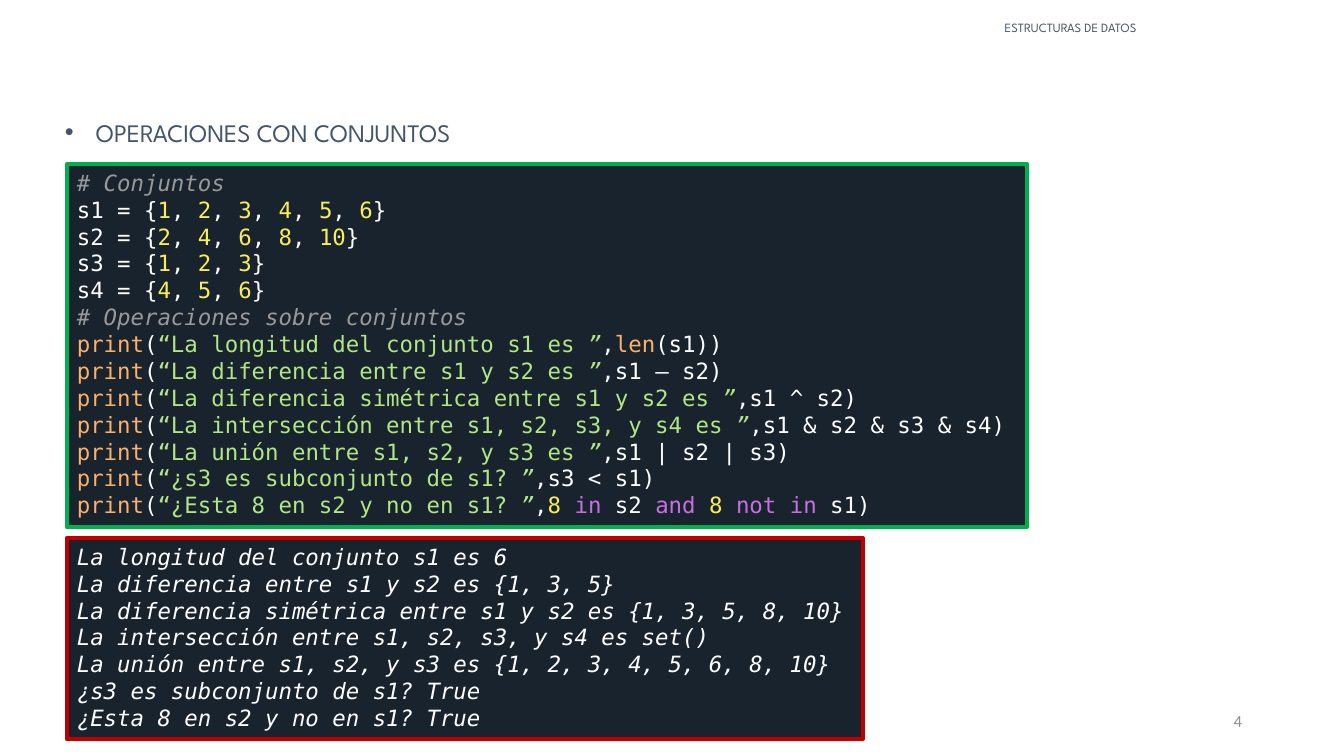
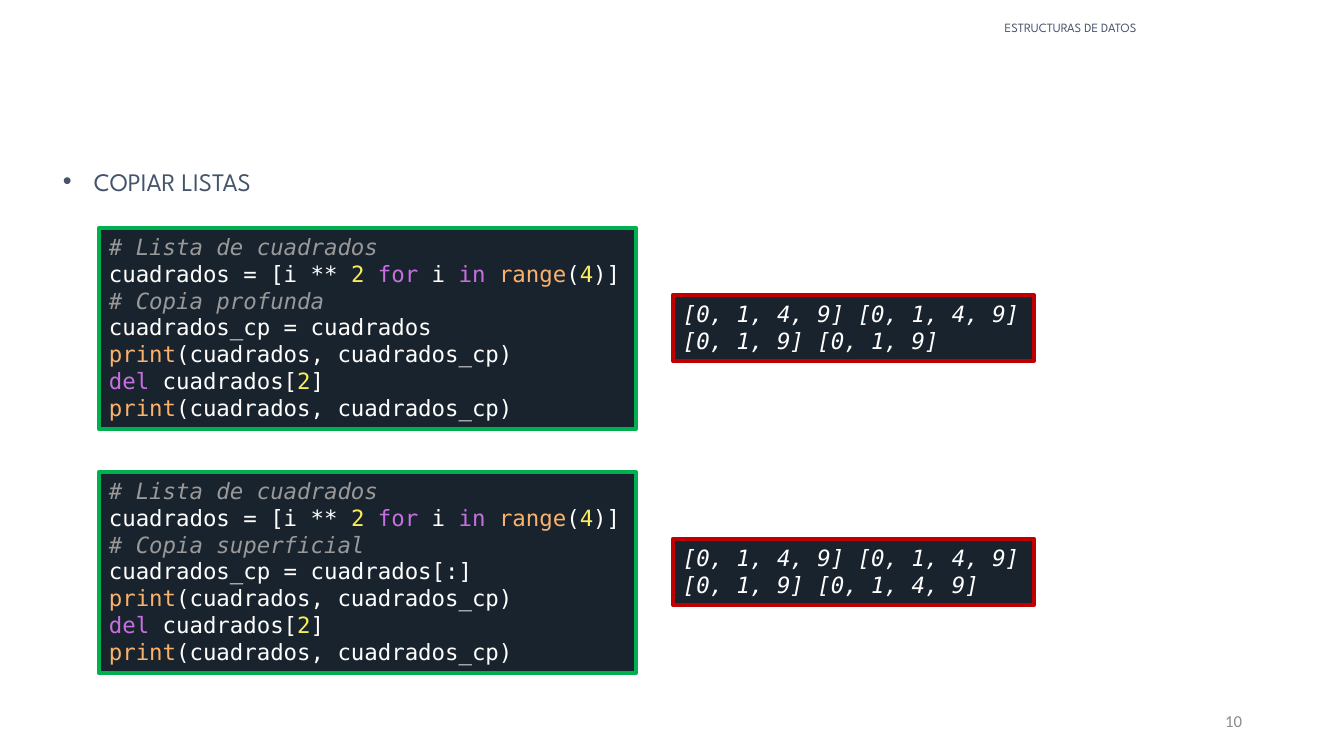
from itertools import groupby

from lxml import etree
from pptx import Presentation
from pptx.dml.color import RGBColor
from pptx.enum import shapes, text
from pptx.oxml.ns import qn
from pptx import util as u

PX = u.Inches(1) / 100.8
COLORS = {
    "heading": "44546A", "number": "8C8C8C", "panel": "19232D",
    "source": "00B050", "output": "C00000", "plain": "FFFFFF",
    "comment": "999999", "digit": "FAED5C", "builtin": "FAB16C",
    "keyword": "C670E0", "string": "B0E686",
}
WORDS = {"print": "builtin", "len": "builtin", "range": "builtin"}
WORDS.update(dict.fromkeys(["for", "in", "and", "not", "del"], "keyword"))
HEADING_FONT, CODE_FONT = "League Spartan", "DejaVu Sans Mono"
LINE_HEIGHT, PANEL_PADDING = 27, 12

SET_CODE = """# Conjuntos
s1 = {1, 2, 3, 4, 5, 6}
s2 = {2, 4, 6, 8, 10}
s3 = {1, 2, 3}
s4 = {4, 5, 6}
# Operaciones sobre conjuntos
print(“La longitud del conjunto s1 es ”,len(s1))
print(“La diferencia entre s1 y s2 es ”,s1 – s2)
print(“La diferencia simétrica entre s1 y s2 es ”,s1 ^ s2)
print(“La intersección entre s1, s2, s3, y s4 es ”,s1 & s2 & s3 & s4)
print(“La unión entre s1, s2, y s3 es ”,s1 | s2 | s3)
print(“¿s3 es subconjunto de s1? ”,s3 < s1)
print(“¿Esta 8 en s2 y no en s1? ”,8 in s2 and 8 not in s1)"""

SET_OUTPUT = """La longitud del conjunto s1 es 6
La diferencia entre s1 y s2 es {1, 3, 5}
La diferencia simétrica entre s1 y s2 es {1, 3, 5, 8, 10}
La intersección entre s1, s2, s3, y s4 es set()
La unión entre s1, s2, y s3 es {1, 2, 3, 4, 5, 6, 8, 10}
¿s3 es subconjunto de s1? True
¿Esta 8 en s2 y no en s1? True"""

COPY_CODE = """# Lista de cuadrados
cuadrados = [i ** 2 for i in range(4)]
# Copia {kind}
cuadrados_cp = {value}
print(cuadrados, cuadrados_cp)
del cuadrados[2]
print(cuadrados, cuadrados_cp)"""
DEEP_CODE = COPY_CODE.format(kind="profunda", value="cuadrados")
SHALLOW_CODE = COPY_CODE.format(kind="superficial", value="cuadrados[:]")
DEEP_OUTPUT = "[0, 1, 4, 9] [0, 1, 4, 9]\n[0, 1, 9] [0, 1, 9]"
SHALLOW_OUTPUT = "[0, 1, 4, 9] [0, 1, 4, 9]\n[0, 1, 9] [0, 1, 4, 9]"

PAGES = [
    ("OPERACIONES CON CONJUNTOS", (55, 112, 484, 40), "4", [
        ("source", 67, 164, 960, SET_CODE),
        ("output", 67, 538, 796, SET_OUTPUT),
    ]),
    ("COPIAR LISTAS", (53, 161, 249, 40), "10", [
        ("source", 99, 228, 537, DEEP_CODE),
        ("source", 99, 472, 537, SHALLOW_CODE),
        ("output", 673, 295, 361, DEEP_OUTPUT),
        ("output", 673, 539, 361, SHALLOW_OUTPUT),
    ]),
]


def highlight(line, role):
    if role == "output":
        return [(line, "plain", True)]
    if line.startswith("#"):
        return [(line, "comment", True)]
    before, opening, rest = line.partition("“")
    quoted, closing, after = rest.partition("”")
    pieces = []
    for code in (before, after):
        for _, letters in groupby(code, lambda c: c.isalnum() or c == "_"):
            word = "".join(letters)
            color = "digit" if word.isdigit() else WORDS.get(word, "plain")
            pieces.append((word, color, False))
        if opening and code is before:
            pieces.append((opening + quoted, "string", False))
            pieces.append((closing, "string", True))
    return pieces


def style(run, font, size, color, italic=False):
    run.font.name = font
    run.font.size = u.Pt(size)
    run.font.italic = italic
    run.font.color.rgb = RGBColor.from_string(COLORS[color])


deck = Presentation()
deck.slide_width, deck.slide_height = round(1344 * PX), round(756 * PX)

for topic, topic_box, page_number, panels in PAGES:
    slide = deck.slides.add_slide(deck.slide_layouts[6])

    labels = [
        ("ESTRUCTURAS DE DATOS", (803, 17, 535, 28), HEADING_FONT, 9, "heading", text.PP_ALIGN.CENTER),
        (page_number, (950, 701, 302, 40), "Calibri", 12, "number", text.PP_ALIGN.RIGHT),
        (topic, topic_box, HEADING_FONT, 18, "heading", text.PP_ALIGN.LEFT),
    ]
    for words, box, font, size, color, align in labels:
        label = slide.shapes.add_textbox(*[round(n * PX) for n in box]).text_frame
        label.text = words
        label.word_wrap = words != topic
        paragraph = label.paragraphs[0]
        paragraph.alignment = align
        style(paragraph.runs[0], font, size, color)
        if words == page_number:
            label.vertical_anchor = text.MSO_ANCHOR.MIDDLE
        elif words == topic:
            properties = paragraph._p.get_or_add_pPr()
            indent = round(31 * PX)
            properties.set("marL", str(indent))
            properties.set("indent", str(-indent))
            etree.SubElement(properties, qn("a:buFont")).set("typeface", "Arial")
            etree.SubElement(properties, qn("a:buChar")).set("char", "•")
        else:
            paragraph.line_spacing = 0.9
            paragraph.space_before = u.Pt(10)

    for role, left, top, width, content in panels:
        lines = content.split("\n")
        height = len(lines) * LINE_HEIGHT + PANEL_PADDING
        panel = slide.shapes.add_shape(
            shapes.MSO_SHAPE.RECTANGLE, *[round(n * PX) for n in (left, top, width, height)])
        panel.shadow.inherit = False
        panel.fill.solid()
        panel.fill.fore_color.rgb = RGBColor.from_string(COLORS["panel"])
        panel.line.color.rgb = RGBColor.from_string(COLORS[role])
        panel.line.width = u.Pt(3)
        listing = panel.text_frame
        listing.text = content
        listing.word_wrap = False
        listing.auto_size = text.MSO_AUTO_SIZE.SHAPE_TO_FIT_TEXT
        listing.vertical_anchor = text.MSO_ANCHOR.TOP
        for paragraph, line in zip(listing.paragraphs, lines):
            paragraph.clear()
            paragraph.alignment = text.PP_ALIGN.LEFT
            for piece, color, italic in highlight(line, role):
                run = paragraph.add_run()
                run.text = piece
                style(run, CODE_FONT, 16, color, italic)

deck.save("out.pptx")
